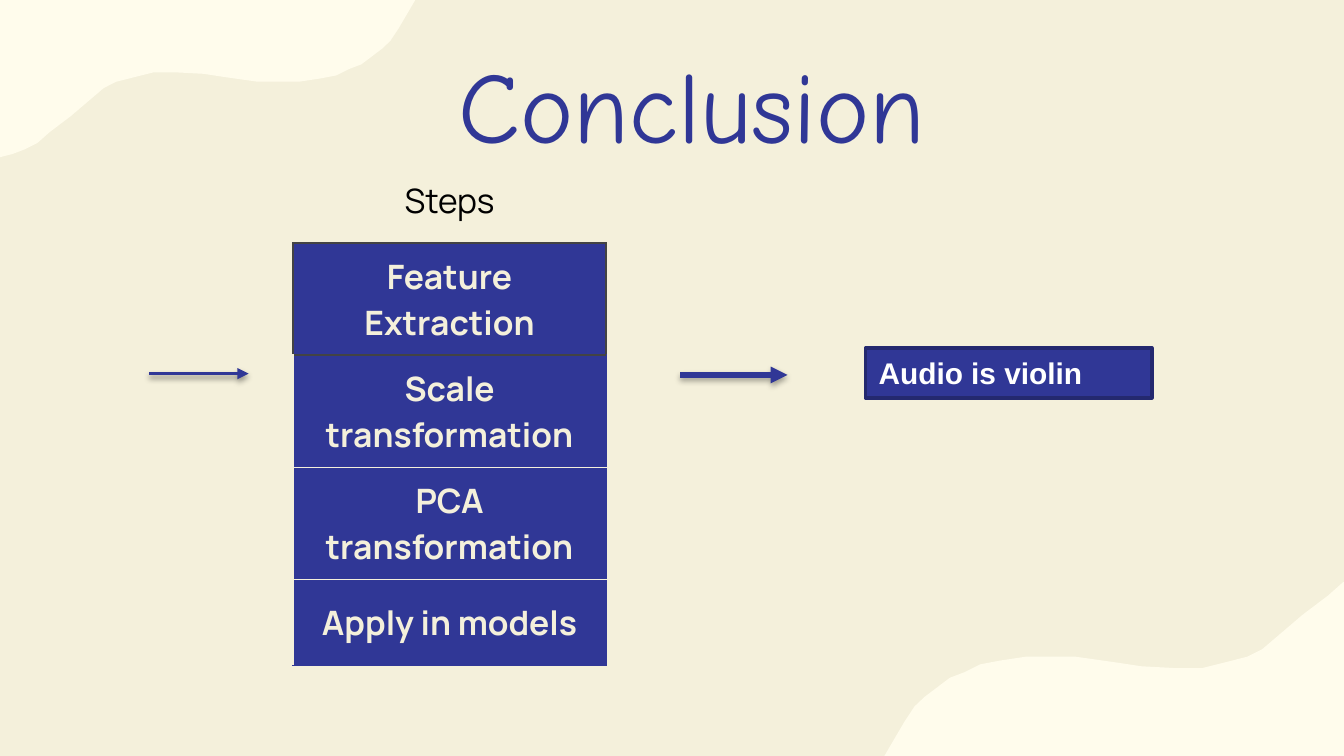
import pptx
import pptx.util
import pptx.dml.color
import pptx.enum.shapes
import pptx.enum.text
import pptx.oxml
import pptx.oxml.ns

WIDE = 10
HIGH = WIDE * 9 / 16
NAVY, SAND, CREAM, GREY = "303796", "F4F0DB", "FFFCEC", "434343"
WAVE = [(0, 1), (0.03, 0.98), (0.06, 0.95), (0.09, 0.91), (0.12, 0.84),
        (0.17, 0.74), (0.21, 0.65), (0.25, 0.56), (0.28, 0.52), (0.31, 0.5),
        (0.34, 0.48), (0.37, 0.46), (0.42, 0.46), (0.49, 0.47), (0.54, 0.49),
        (0.62, 0.52), (0.67, 0.52), (0.72, 0.52), (0.77, 0.5), (0.81, 0.48),
        (0.84, 0.44), (0.87, 0.41), (0.9, 0.35), (0.92, 0.31), (0.94, 0.26),
        (0.96, 0.18), (0.98, 0.09), (1, 0), (0, 0)]
STEPS = [
    ("Steps", 0.64, (None, None, None, (GREY, 1))),
    ("Feature Extraction", 0.72, ((GREY, 1),) * 4),
    ("Scale transformation", 0.76,
     ((SAND, 0.75), (NAVY, 0.75), (GREY, 1), (SAND, 0.75))),
    ("PCA transformation", 0.64,
     ((SAND, 0.75), (NAVY, 0.75), (SAND, 0.75), (SAND, 0.75))),
    ("Apply in models", 0.64,
     ((SAND, 0.75), (NAVY, 0.75), (SAND, 0.75), (NAVY, 0.75))),
]


def inch(*sizes):
    """Turn inches into a list of lengths."""
    return [pptx.util.Inches(size) for size in sizes]


def paint(fill, hue):
    """Fill with one solid colour."""
    fill.solid()
    fill.fore_color.rgb = pptx.dml.color.RGBColor.from_string(hue)


def write(frame, text, face, size, hue, bold=False, align="CENTER"):
    """Put one styled paragraph in a text frame."""
    frame.text = text
    para = frame.paragraphs[0]
    para.alignment = getattr(pptx.enum.text.PP_ALIGN, align)
    para.font.name = face
    para.font.size = pptx.util.Pt(size)
    para.font.bold = bold
    paint(para.font.fill, hue)


def add_wave(slide, left, top, wide, high):
    """Draw the wavy corner; negative sizes turn it round."""
    spots = [tuple(inch(left + x * wide, top + y * high)) for x, y in WAVE]
    form = slide.shapes.build_freeform(*spots[0])
    form.add_line_segments(spots[1:], close=True)
    shape = form.convert_to_shape()
    shape.shadow.inherit = False
    paint(shape.fill, CREAM)
    shape.line.fill.background()


def add_title(slide, text):
    """Place and style the title."""
    title = slide.shapes.title
    title.left, title.top, title.width, title.height = inch(2.03, 0.36, 6.24, 0.81)
    frame = title.text_frame
    frame.auto_size = pptx.enum.text.MSO_AUTO_SIZE.NONE
    frame.vertical_anchor = pptx.enum.text.MSO_ANCHOR.MIDDLE
    frame.margin_top = frame.margin_bottom = pptx.util.Inches(0.1)
    write(frame, text, "Comic Neue", 54, NAVY)


def add_edge(cell, side, edge):
    """Give one side of a cell its line, or none."""
    hue, size = edge or (None, 0)
    ink = f'<a:solidFill><a:srgbClr val="{hue}"/></a:solidFill>' if hue else "<a:noFill/>"
    cell._tc.get_or_add_tcPr().append(pptx.oxml.parse_xml(
        f'<a:ln{side} {pptx.oxml.ns.nsdecls("a")} w="{pptx.util.Pt(size)}">'
        f'{ink}</a:ln{side}>'))


def add_steps(slide):
    """Build the table of steps under its heading."""
    holder = slide.shapes.add_table(
        len(STEPS), 1, *inch(2.18, 1.17, 2.33, 3.55))
    table = holder.table
    table.first_row = table.horz_banding = False
    for row, (text, tall, edges) in enumerate(STEPS):
        table.rows[row].height = pptx.util.Inches(tall)
        cell = table.cell(row, 0)
        cell.vertical_anchor = pptx.enum.text.MSO_ANCHOR.MIDDLE
        cell.margin_left = cell.margin_right = pptx.util.Inches(0.1)
        cell.margin_top = cell.margin_bottom = pptx.util.Pt(5.4)
        for side, edge in zip("LRTB", edges):
            add_edge(cell, side, edge)
        if row:
            paint(cell.fill, NAVY)
        else:
            cell.fill.background()
        write(cell.text_frame, text, "Manrope", 18,
              SAND if row else "000000", bold=row > 0)
    holder.height = pptx.util.Inches(3.55)


def add_arrow(slide, left, right, top, size, shade):
    """Draw a level arrow with a soft shadow below."""
    line = slide.shapes.add_connector(
        pptx.enum.shapes.MSO_CONNECTOR.STRAIGHT, *inch(left, top, right, top))
    line.line.width = pptx.util.Pt(size)
    paint(line.line.fill, NAVY)
    space = pptx.oxml.ns.nsdecls("a")
    line.line._get_or_add_ln().append(
        pptx.oxml.parse_xml(f'<a:tailEnd {space} type="triangle"/>'))
    line._element.spPr.append(pptx.oxml.parse_xml(
        f'<a:effectLst {space}><a:outerShdw blurRad="{pptx.util.Pt(3.1)}" '
        f'dist="{pptx.util.Pt(1.7)}" dir="5400000" rotWithShape="0">'
        f'<a:srgbClr val="000000"><a:alpha val="{shade * 1000}"/></a:srgbClr>'
        '</a:outerShdw></a:effectLst>'))


def add_label(slide, text):
    """Draw the box that holds the result."""
    box = slide.shapes.add_shape(
        pptx.enum.shapes.MSO_SHAPE.RECTANGLE, *inch(6.44, 2.59, 2.13, 0.37))
    box.shadow.inherit = False
    paint(box.fill, NAVY)
    paint(box.line.fill, "24296F")
    box.line.width = pptx.util.Pt(2)
    frame = box.text_frame
    frame.word_wrap = True
    frame.auto_size = pptx.enum.text.MSO_AUTO_SIZE.SHAPE_TO_FIT_TEXT
    frame.vertical_anchor = pptx.enum.text.MSO_ANCHOR.TOP
    write(frame, text, "Arial", 16, "FFFFFF", bold=True, align="LEFT")


def main():
    """Build and save the slide."""
    deck = pptx.Presentation()
    deck.slide_width, deck.slide_height = inch(WIDE, HIGH)
    slide = deck.slides.add_slide(deck.slide_layouts[5])
    paint(slide.background.fill, SAND)
    add_wave(slide, 0, 0, 3.09, 1.17)
    add_wave(slide, 10.33, HIGH, -3.75, -1.42)
    add_title(slide, "Conclusion")
    add_steps(slide)
    add_arrow(slide, 5.06, 5.86, 2.79, 3, 35)
    add_label(slide, "Audio is violin")
    add_arrow(slide, 1.11, 1.85, 2.78, 2, 38)
    deck.save("out.pptx")


if __name__ == "__main__":
    main()
